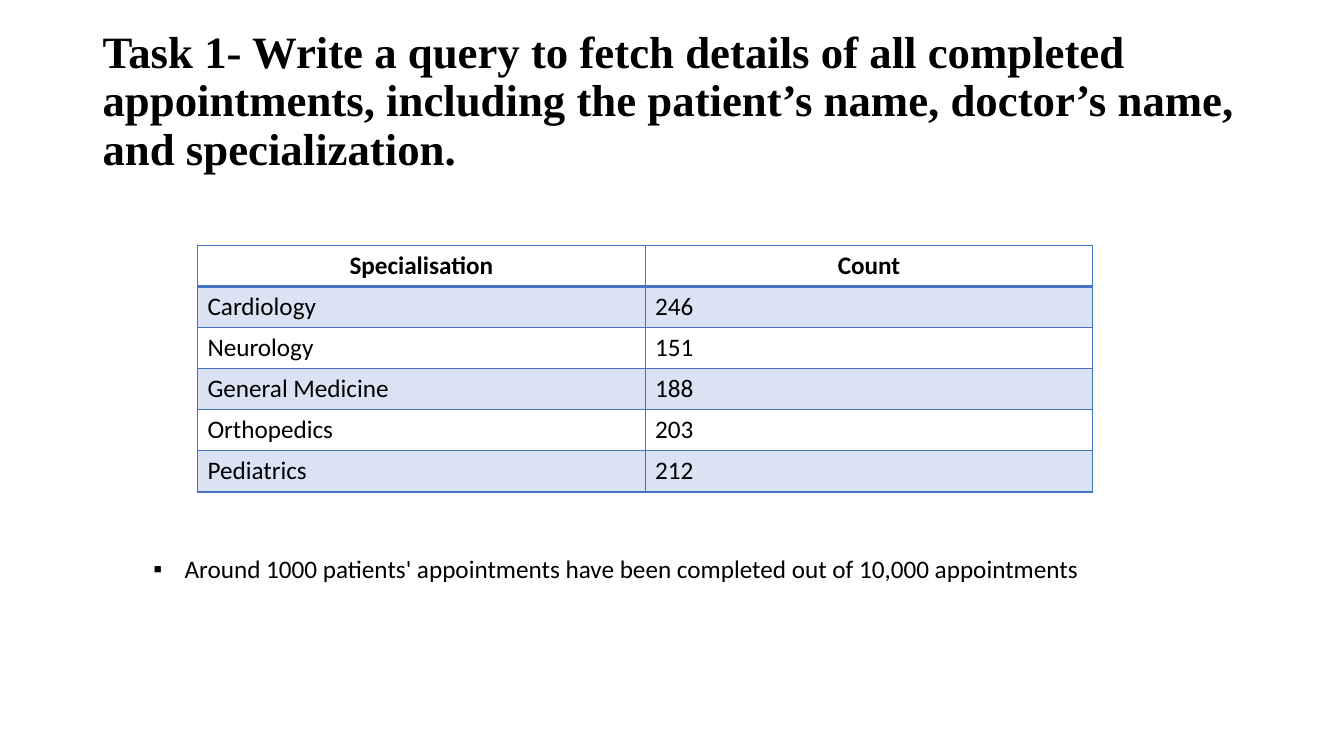
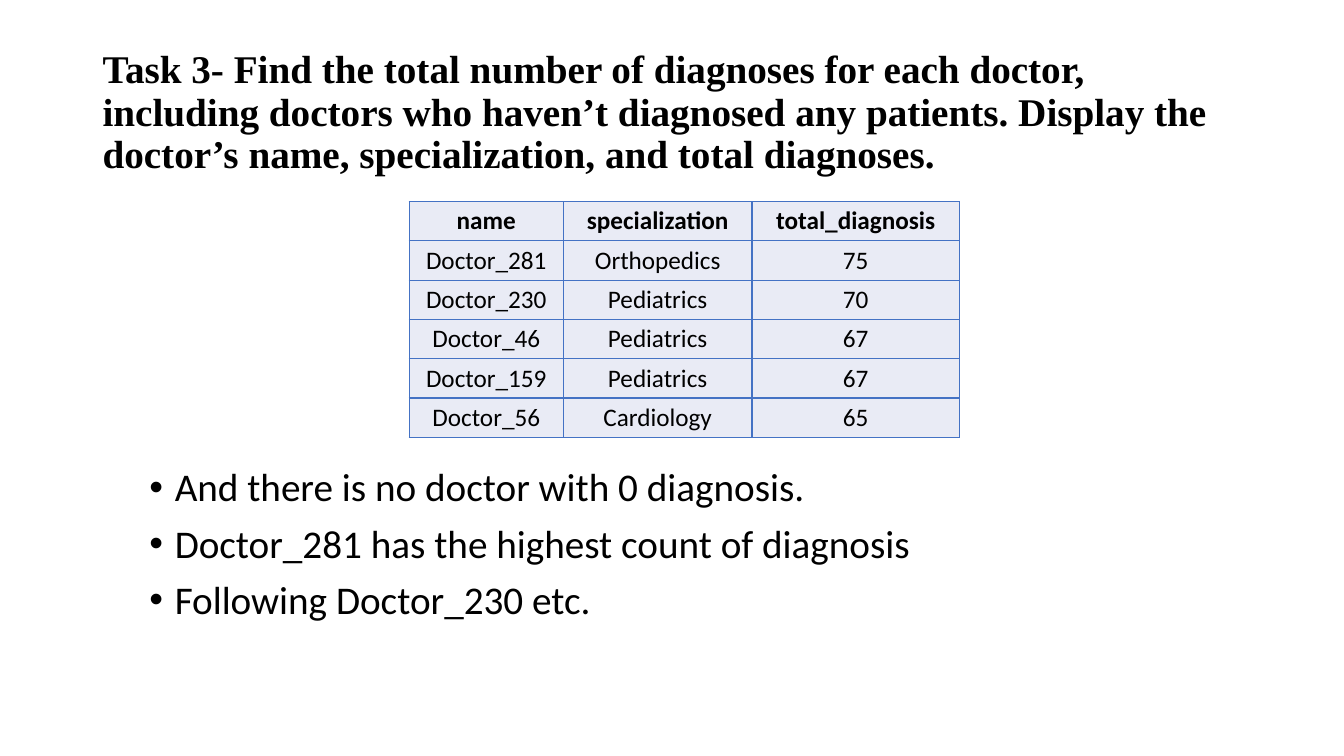
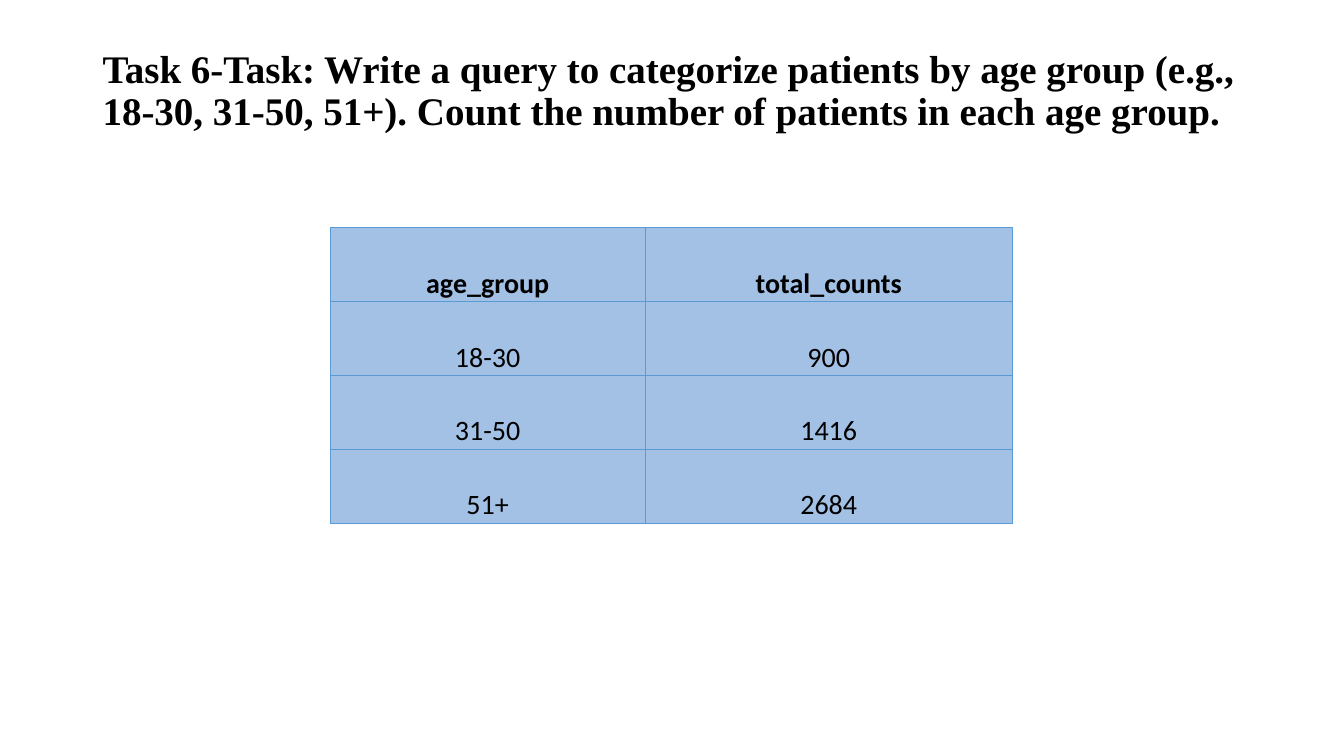
"""Build three slides of hospital query results."""
import dataclasses
import typing

import lxml.etree
import pptx
import pptx.dml.color
import pptx.enum.text
import pptx.oxml.ns
import pptx.util

Cm = pptx.util.Cm
Pt = pptx.util.Pt
Align = pptx.enum.text.PP_ALIGN
Anchor = pptx.enum.text.MSO_ANCHOR
qn = pptx.oxml.ns.qn

BLACK = "000000"
BLUE = "4472C4"
BAND = "DAE3F3"
PALE = "E9EBF5"
SKY = "A3C0E5"
SKY_EDGE = "5B9BD5"
BODY_FONT = "Calibri"
TITLE_FONT = "Times New Roman"
TITLE_LEFT, TITLE_WIDTH = 2.33, 29.21


@dataclasses.dataclass(frozen=True)
class Title:
    """Wording, size and vertical place of a slide title."""
    text: str
    size: float
    top: float
    height: float


@dataclasses.dataclass(frozen=True)
class Grid:
    """Content and look of a table."""
    rows: list[tuple[str, ...]]
    left: float
    top: float
    widths: tuple[float, ...]
    row_height: float
    fills: tuple[str | None, ...]
    size: float = 18
    edge: str = BLUE
    edge_width: float = 1
    header_width: float = 1
    align: Align = Align.CENTER
    anchor: Anchor = Anchor.MIDDLE
    margins: tuple[float, float] = (0.03, 0.02)


@dataclasses.dataclass(frozen=True)
class Bullets:
    """Content and look of a bulleted list."""
    lines: tuple[str, ...]
    box: tuple[float, float, float, float]
    size: float
    char: str
    indent: float
    spacing: float = 1
    before: float = 0


@dataclasses.dataclass(frozen=True)
class Page:
    """Everything on one slide."""
    title: Title
    grid: Grid
    bullets: Bullets | None = None


def paint(target: typing.Any, value: str) -> None:
    """Give a fill or a font a solid colour."""
    fill = getattr(target, "fill", target)
    fill.solid()
    fill.fore_color.rgb = pptx.dml.color.RGBColor.from_string(value)


def write(p: typing.Any, text: str, *, size: float, font: str = BODY_FONT,
          bold: bool = False, align: Align = Align.LEFT,
          spacing: float = 1, before: float = 0) -> None:
    """Write one formatted run into a paragraph."""
    p.alignment = align
    p.line_spacing = spacing
    p.space_before = Pt(before)
    r = p.add_run()
    r.text = text
    r.font.name = font
    r.font.size = Pt(size)
    r.font.bold = bold
    paint(r.font, BLACK)


def place(sp: typing.Any, left: float, top: float, width: float,
          height: float, anchor: Anchor) -> typing.Any:
    """Move a placeholder and return its prepared text frame."""
    sp.left, sp.top, sp.width, sp.height = map(Cm, (left, top, width, height))
    tf = sp.text_frame
    tf.word_wrap = True
    tf.auto_size = pptx.enum.text.MSO_AUTO_SIZE.NONE
    tf.vertical_anchor = anchor
    return tf


def add_title(s: typing.Any, title: Title) -> None:
    """Fill the title placeholder."""
    tf = place(s.shapes.title, TITLE_LEFT, title.top, TITLE_WIDTH,
               title.height, Anchor.MIDDLE)
    write(tf.paragraphs[0], title.text, size=title.size, font=TITLE_FONT,
          bold=True, spacing=0.9)


def add_bullets(s: typing.Any, bullets: Bullets) -> None:
    """Fill the body placeholder with a bulleted list."""
    tf = place(s.placeholders[1], *bullets.box, Anchor.TOP)
    for i, line in enumerate(bullets.lines):
        p = tf.add_paragraph() if i else tf.paragraphs[0]
        write(p, line, size=bullets.size, spacing=bullets.spacing,
              before=bullets.before)
        pPr = p._p.get_or_add_pPr()
        pPr.set("marL", str(Cm(bullets.indent)))
        pPr.set("indent", str(-Cm(bullets.indent)))
        lxml.etree.SubElement(pPr, qn("a:buFont")).set("typeface", "Arial")
        lxml.etree.SubElement(pPr, qn("a:buChar")).set("char", bullets.char)


def add_border(cell: typing.Any, side: str, value: str, width: float) -> None:
    """Draw one side of a cell."""
    tcPr = cell._tc.get_or_add_tcPr()
    ln = lxml.etree.SubElement(tcPr, qn(f"a:ln{side}"))
    ln.set("w", str(Pt(width)))
    fill = lxml.etree.SubElement(ln, qn("a:solidFill"))
    lxml.etree.SubElement(fill, qn("a:srgbClr")).set("val", value)


def add_grid(s: typing.Any, grid: Grid) -> None:
    """Add a table with a bold header row."""
    count = len(grid.rows)
    table = s.shapes.add_table(
        count, len(grid.widths), Cm(grid.left), Cm(grid.top),
        Cm(sum(grid.widths)), Cm(grid.row_height * count)).table
    table.first_row = table.horz_banding = False
    for column, width in zip(table.columns, grid.widths):
        column.width = Cm(width)
    for i, texts in enumerate(grid.rows):
        table.rows[i].height = Cm(grid.row_height)
        fill = grid.fills[i % len(grid.fills)]
        for j, text in enumerate(texts):
            cell = table.cell(i, j)
            cell.vertical_anchor = grid.anchor
            cell.margin_left = cell.margin_right = Cm(grid.margins[0])
            cell.margin_top = cell.margin_bottom = Cm(grid.margins[1])
            write(cell.text_frame.paragraphs[0], text, size=grid.size,
                  bold=i == 0, align=grid.align if i else Align.CENTER)
            for side in "LRTB":
                under_header = (i, side) in ((0, "B"), (1, "T"))
                add_border(cell, side, grid.edge, grid.header_width
                           if under_header else grid.edge_width)
            if fill:
                paint(cell, fill)
            else:
                cell.fill.background()


PAGES = [
    Page(
        Title("Task 1- Write a query to fetch details of all completed "
              "appointments, including the patient’s name, doctor’s name, "
              "and specialization.", 32, 0.64, 3.88),
        Grid([("Specialisation", "Count"), ("Cardiology", "246"),
              ("Neurology", "151"), ("General Medicine", "188"),
              ("Orthopedics", "203"), ("Pediatrics", "212")],
             4.98, 6.18, (11.28, 11.28), 1.03, (None, BAND),
             header_width=2, align=Align.LEFT, anchor=Anchor.TOP,
             margins=(0.25, 0.13)),
        Bullets(("Around 1000 patients' appointments have been completed "
                 "out of 10,000 appointments",),
                (3.61, 13.82, 24.49, 1.02), 18, "▪", 0.79)),
    Page(
        Title("Task 3- Find the total number of diagnoses for each doctor, "
              "including doctors who haven’t diagnosed any patients. Display "
              "the doctor’s name, specialization, and total diagnoses.",
              28, 1.02, 3.68),
        Grid([("name", "specialization", "total_diagnosis"),
              ("Doctor_281", "Orthopedics", "75"),
              ("Doctor_230", "Pediatrics", "70"),
              ("Doctor_46", "Pediatrics", "67"),
              ("Doctor_159", "Pediatrics", "67"),
              ("Doctor_56", "Cardiology", "65")],
             10.31, 5.08, (3.89, 4.75, 5.23), 0.99, (PALE,)),
        Bullets(("And there is no doctor with 0 diagnosis.",
                 "Doctor_281 has the highest count of diagnosis",
                 "Following Doctor_230 etc."),
                (3.51, 11.66, 28.04, 4.98), 28, "•", 0.64, 0.9, 10)),
    Page(
        Title("Task 6-Task: Write a query to categorize patients by age group "
              "(e.g., 18-30, 31-50, 51+). Count the number of patients in "
              "each age group.", 27.9, 1.02, 2.6),
        Grid([("age_group", "total_counts"), ("18-30", "900"),
              ("31-50", "1416"), ("51+", "2684")],
             8.33, 5.74, (7.92, 9.27), 1.86, (SKY,), size=20,
             edge=SKY_EDGE, edge_width=0.5, header_width=0.5,
             anchor=Anchor.BOTTOM)),
]


def main() -> None:
    """Build and save the presentation."""
    prs = pptx.Presentation()
    prs.slide_width, prs.slide_height = Cm(33.87), Cm(19.05)
    for page in PAGES:
        s = prs.slides.add_slide(prs.slide_layouts[1 if page.bullets else 5])
        add_title(s, page.title)
        add_grid(s, page.grid)
        if page.bullets:
            add_bullets(s, page.bullets)
    prs.save("out.pptx")


if __name__ == "__main__":
    main()
